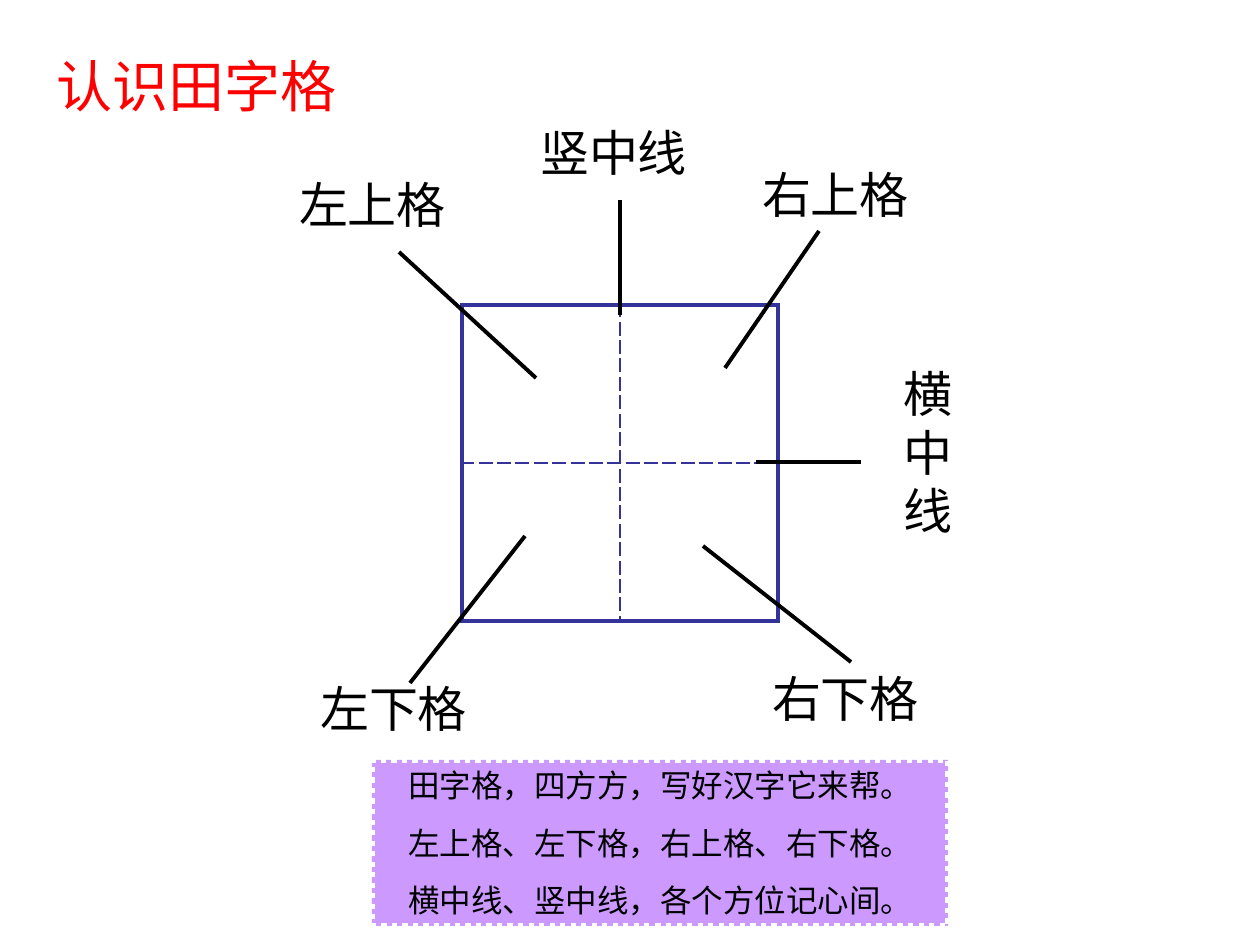
from lxml import etree
from pptx import Presentation
from pptx import util as u
from pptx.dml.color import RGBColor
from pptx.enum import dml, shapes, text
from pptx.oxml import ns

PX = u.Inches(1) / 126
BLACK = RGBColor(0x00, 0x00, 0x00)
WHITE = RGBColor(0xFF, 0xFF, 0xFF)
RED = RGBColor(0xFF, 0x00, 0x00)
NAVY = RGBColor(0x33, 0x33, 0x99)
LILAC = RGBColor(0xCC, 0x99, 0xFF)


def px(*lengths):
    return [round(length * PX) for length in lengths]


def write(box, lines, size, font, color, align, gap=0):
    frame = box.text_frame
    frame.word_wrap = True
    frame.vertical_anchor = text.MSO_ANCHOR.TOP
    for index, line in enumerate(lines):
        para = frame.paragraphs[0] if index == 0 else frame.add_paragraph()
        para.text = line
        para.alignment = align
        para.font.size = u.Pt(size)
        para.font.name = font
        para.font.color.rgb = color
        if index:
            para.space_before = u.Pt(gap)


deck = Presentation()
deck.slide_width, deck.slide_height = px(1260, 945)
page = deck.slides.add_slide(deck.slide_layouts[6])

grid = page.shapes.add_table(2, 2, *px(462, 305, 316, 316)).table
for row in range(2):
    for column in range(2):
        cell = grid.cell(row, column)
        properties = cell._tc.get_or_add_tcPr()
        outer = {"lnL": column == 0, "lnR": column == 1, "lnT": row == 0, "lnB": row == 1}
        for side, solid in outer.items():
            border = etree.SubElement(properties, ns.qn("a:" + side), w=str(u.Pt(2.21 if solid else 1.47)))
            fill = etree.SubElement(border, ns.qn("a:solidFill"))
            etree.SubElement(fill, ns.qn("a:srgbClr"), val=str(NAVY))
            etree.SubElement(border, ns.qn("a:prstDash"), val="solid" if solid else "dash")
        cell.fill.background()

labels = [
    ("竖中线", (620, 315, 620, 200), (514, 116, 199, 72)),
    ("左下格", (410, 683, 525, 536), (294, 672, 199, 72)),
    ("右下格", (703, 546, 851, 662), (746, 662, 199, 72)),
    ("左上格", (399, 252, 536, 378), (273, 168, 199, 72)),
    ("右上格", (725, 368, 819, 231), (746, 158, 179, 72)),
    ("横中线", (756, 462, 861, 462), (882, 357, 92, 189)),
]
for name, ends, place in labels:
    pointer = page.shapes.add_connector(shapes.MSO_CONNECTOR.STRAIGHT, *px(*ends))
    pointer.line.color.rgb = BLACK
    pointer.line.width = u.Pt(2.25)
    etree.SubElement(pointer._element.spPr, ns.qn("a:effectLst"))
    label = page.shapes.add_textbox(*px(*place))
    write(label, [name], 28, "Times New Roman", BLACK, text.PP_ALIGN.CENTER)

title = page.shapes.add_textbox(*px(44, 45, 377, 81))
write(title, ["认识田字格"], 32, "Arial", RED, text.PP_ALIGN.LEFT)

rhyme = page.shapes.add_shape(shapes.MSO_SHAPE.RECTANGLE, *px(372, 760, 576, 166))
rhyme.shadow.inherit = False
rhyme.fill.solid()
rhyme.fill.fore_color.rgb = LILAC
rhyme.line.color.rgb = WHITE
rhyme.line.width = u.Pt(3)
rhyme.line.dash_style = dml.MSO_LINE.ROUND_DOT
verses = [
    "田字格，四方方，写好汉字它来帮。",
    "左上格、左下格，右上格、右下格。",
    "横中线、竖中线，各个方位记心间。",
]
write(rhyme, verses, 18, "Arial", BLACK, text.PP_ALIGN.CENTER, 11.2)

deck.save("out.pptx")
